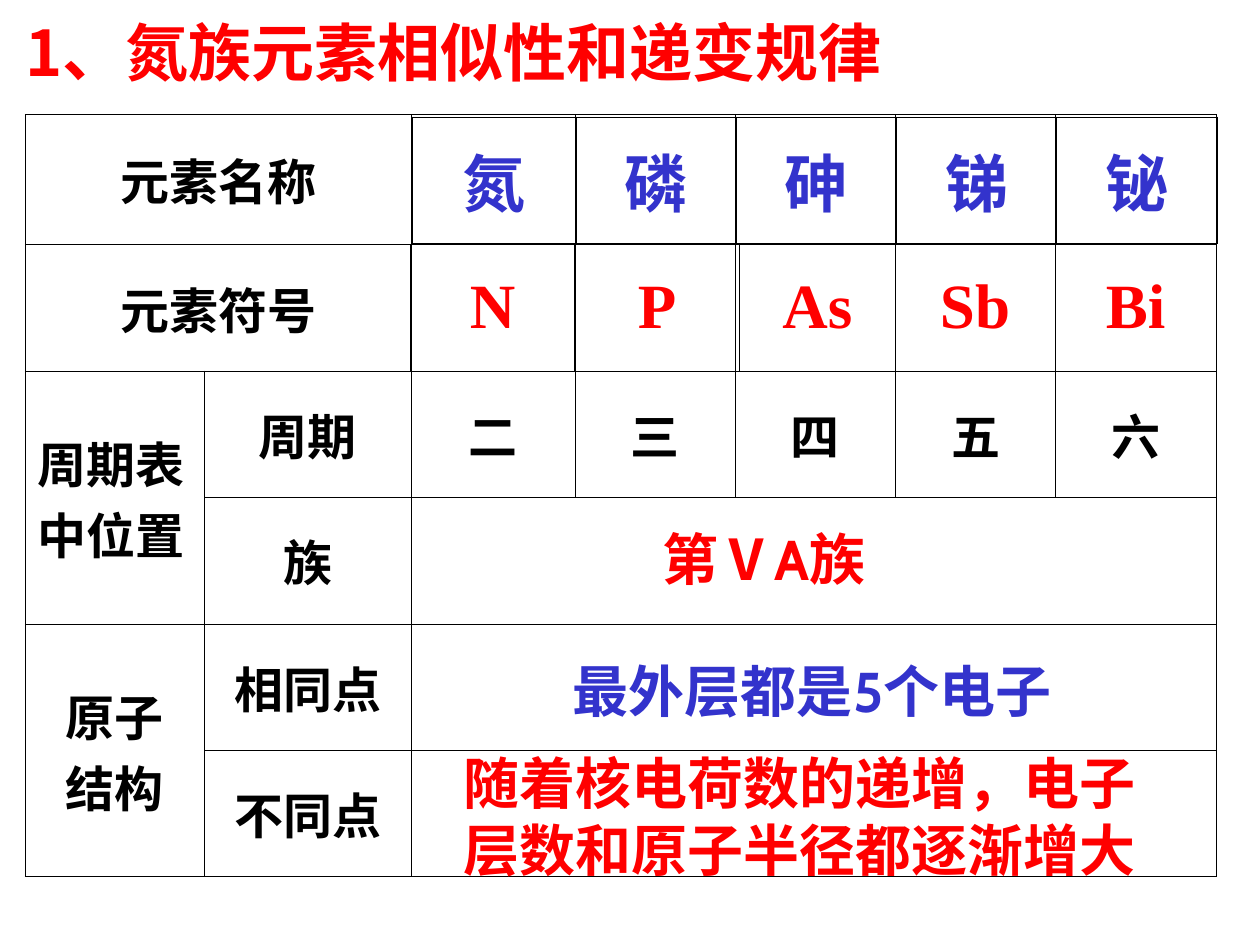
from dataclasses import dataclass
from typing import Any, Dict, List, NamedTuple, Tuple

from lxml import etree
from pptx import Presentation
from pptx import util as u
from pptx.dml import color
from pptx.enum import text
from pptx.oxml import ns


@dataclass(frozen=True)
class Theme:
    black: str = "000000"
    red: str = "FF0000"
    blue: str = "3333CC"
    cjk: str = "Noto Sans CJK SC"
    serif: str = "Times New Roman"
    sans: str = "Cabin"
    title: int = 36
    symbol: int = 36
    answer: int = 32
    label: int = 28
    border: float = 0.45
    hanging: float = 0.96


THEME = Theme()


class Style(NamedTuple):
    size: int
    ink: str
    latin: str
    asian: str


class Entry(NamedTuple):
    row: int
    column: int
    wording: str
    rows: int = 1
    columns: int = 1
    align: Any = text.PP_ALIGN.CENTER


class Grid(NamedTuple):
    left: float
    top: float
    columns: List[float]
    rows: List[float]
    entries: List[Entry]
    style: Style
    hanging: float = 0


class Answer(NamedTuple):
    box: Tuple[float, float, float, float]
    wording: str
    ink: str


def set_all(target: Any, values: Dict[str, Any]) -> None:
    for name, value in values.items():
        setattr(target, name, value)


def write(frame: Any, wording: str, style: Style, align: Any, hanging: float = 0) -> None:
    frame.text = wording
    for paragraph in frame.paragraphs:
        paragraph.alignment = align
        if hanging:
            properties = paragraph._p.get_or_add_pPr()
            properties.set("marL", str(u.Cm(hanging)))
            properties.set("indent", str(-u.Cm(hanging)))
        for run in paragraph.runs:
            set_all(run.font, {"size": u.Pt(style.size), "bold": True, "name": style.latin})
            run.font.color.rgb = color.RGBColor.from_string(style.ink)
            asian = etree.SubElement(run._r.get_or_add_rPr(), ns.qn("a:ea"))
            asian.set("typeface", style.asian)


def outline(cell: Any) -> None:
    properties = cell._tc.get_or_add_tcPr()
    for side in ("lnL", "lnR", "lnT", "lnB"):
        line = etree.SubElement(properties, ns.qn(f"a:{side}"), w=str(u.Pt(THEME.border)))
        fill = etree.SubElement(line, ns.qn("a:solidFill"))
        etree.SubElement(fill, ns.qn("a:srgbClr"), val=THEME.black)
    cell.fill.background()


def draw_grid(slide: Any, grid: Grid) -> None:
    table = slide.shapes.add_table(
        len(grid.rows), len(grid.columns), u.Cm(grid.left), u.Cm(grid.top),
        u.Cm(sum(grid.columns)), u.Cm(sum(grid.rows)),
    ).table
    set_all(table, {"first_row": False, "horz_banding": False})
    for column, width in zip(table.columns, grid.columns):
        column.width = u.Cm(width)
    for row, height in zip(table.rows, grid.rows):
        row.height = u.Cm(height)
    for cell in table.iter_cells():
        outline(cell)
        cell.vertical_anchor = text.MSO_ANCHOR.MIDDLE
    for entry in grid.entries:
        cell = table.cell(entry.row, entry.column)
        if entry.rows * entry.columns > 1:
            cell.merge(table.cell(entry.row + entry.rows - 1, entry.column + entry.columns - 1))
        if entry.wording:
            write(cell.text_frame, entry.wording, grid.style, entry.align, grid.hanging)


def fill_box(shape: Any, wording: str, style: Style) -> None:
    set_all(shape.text_frame, {
        "word_wrap": True,
        "auto_size": text.MSO_AUTO_SIZE.SHAPE_TO_FIT_TEXT,
        "vertical_anchor": text.MSO_ANCHOR.TOP,
    })
    write(shape.text_frame, wording, style, text.PP_ALIGN.LEFT)


def draw_answer(slide: Any, answer: Answer) -> None:
    shape = slide.shapes.add_textbox(*map(u.Cm, answer.box))
    fill_box(shape, answer.wording, Style(THEME.answer, answer.ink, THEME.sans, THEME.sans))


def across(wordings: List[str], row: int = 0, first: int = 0) -> List[Entry]:
    return [Entry(row, first + index, wording) for index, wording in enumerate(wordings)]


ELEMENT_COLUMNS = [3.3, 3.23, 3.23, 3.23, 3.25]
ROW = 2.55

PROPERTIES = Grid(
    0.51, 2.31, [3.61, 4.17] + ELEMENT_COLUMNS, [2.62] + [ROW] * 5,
    [
        Entry(0, 0, "元素名称", columns=2),
        Entry(1, 0, "元素符号", columns=2),
        Entry(2, 0, "周期表\n中位置", rows=2, align=text.PP_ALIGN.LEFT),
        Entry(4, 0, "原子\n结构", rows=2),
        *across(["周期", "二", "三", "四", "五", "六"], row=2, first=1),
        *[Entry(row, 1, label) for row, label in enumerate(["族", "相同点", "不同点"], 3)],
        *[Entry(row, 2, "", columns=5) for row in range(3, 6)],
    ],
    Style(THEME.label, THEME.black, THEME.serif, THEME.cjk), THEME.hanging,
)
NAMES = Grid(
    8.31, 2.36, ELEMENT_COLUMNS, [ROW], across(["氮", "磷", "砷", "锑", "铋"]),
    Style(THEME.symbol, THEME.blue, THEME.serif, THEME.cjk),
)
SYMBOLS = Grid(
    8.28, 4.93, [3.3, 3.33, 3.13, 3.23, 3.25], [ROW], across(["N", "P", "As", "Sb", "Bi"]),
    Style(THEME.symbol, THEME.red, THEME.serif, THEME.cjk),
)
ANSWERS = [
    Answer((13.11, 10.44, 5.99, 1.63), "第ⅤA族", THEME.red),
    Answer((11.3, 13.11, 12.19, 1.63), "最外层都是5个电子", THEME.blue),
    Answer((9.09, 14.96, 15.19, 2.97), "随着核电荷数的递增，电子层数和原子半径都逐渐增大", THEME.red),
]


def main() -> None:
    deck = Presentation()
    set_all(deck, {"slide_width": u.Cm(25.4), "slide_height": u.Cm(19.05)})
    slide = deck.slides.add_slide(deck.slide_layouts[5])
    heading = slide.shapes.title
    set_all(heading, {
        "left": u.Cm(0.25), "top": u.Cm(0.15), "width": u.Cm(19.86), "height": u.Cm(1.78),
    })
    fill_box(heading, "1、氮族元素相似性和递变规律",
             Style(THEME.title, THEME.red, THEME.cjk, THEME.cjk))
    for grid in (PROPERTIES, NAMES, SYMBOLS):
        draw_grid(slide, grid)
    for answer in ANSWERS:
        draw_answer(slide, answer)
    deck.save("out.pptx")


if __name__ == "__main__":
    main()
